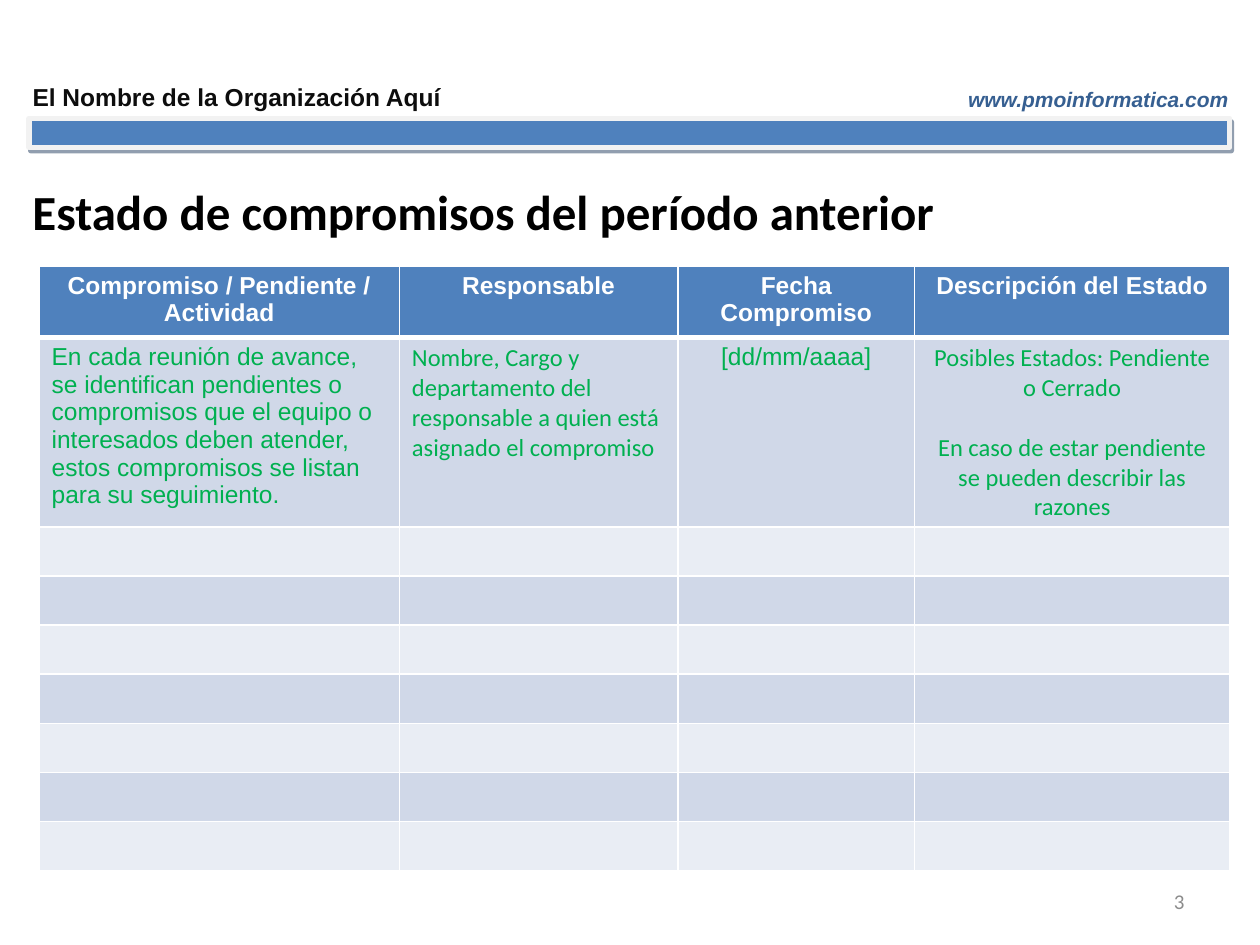
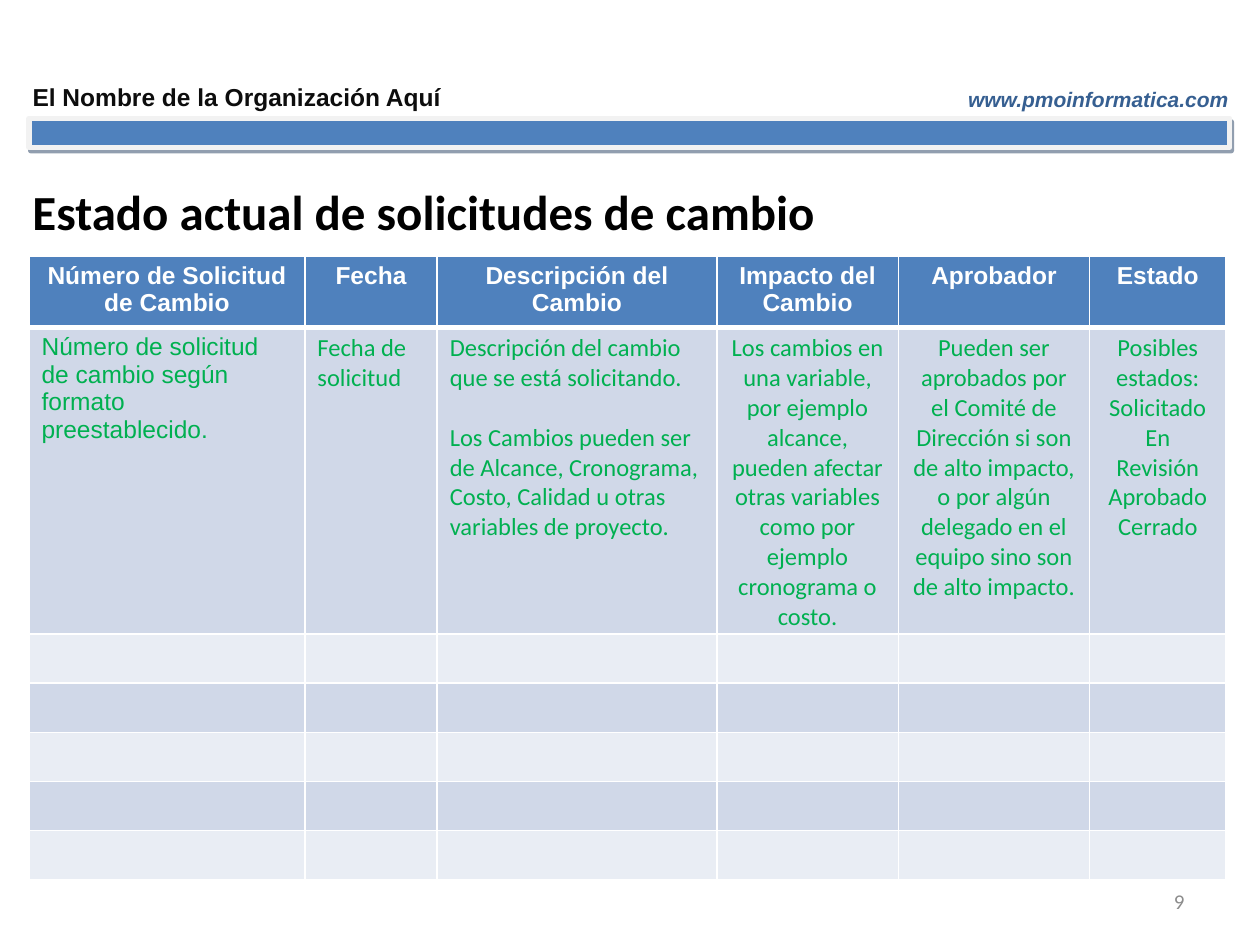
from dataclasses import dataclass
from lxml.etree import SubElement
from pptx import Presentation
from pptx.dml.color import RGBColor
from pptx.enum.shapes import MSO_SHAPE
from pptx.enum.text import MSO_ANCHOR, PP_ALIGN
from pptx.oxml.ns import qn
from pptx.util import Inches, Pt

BLUE = RGBColor(0x4F, 0x81, 0xBD)
BAND_EDGE = RGBColor(0xF2, 0xF2, 0xF2)
BAND_SHADOW = RGBColor(0x24, 0x3F, 0x60)
NEAR_BLACK = RGBColor(0x0D, 0x0D, 0x0D)
BLACK = RGBColor(0, 0, 0)
LINK_BLUE = RGBColor(0x36, 0x5F, 0x91)
GREY = RGBColor(0x8C, 0x8C, 0x8C)
WHITE = RGBColor(0xFF, 0xFF, 0xFF)
GREEN = RGBColor(0, 0xB0, 0x50)
ROW_FILLS = (RGBColor(0xD0, 0xD8, 0xE8), RGBColor(0xE9, 0xED, 0xF4))

LEFT, CENTER, RIGHT = PP_ALIGN.LEFT, PP_ALIGN.CENTER, PP_ALIGN.RIGHT
HEADING_HEIGHT = 0.56
BLANK_HEIGHT = 0.39
CELL_SIZE = Pt(14)
PARAGRAPH_GAP = Pt(17)

HEADING = {"name": "Arial", "size": CELL_SIZE, "bold": True}
GUIDE = {"size": CELL_SIZE, "bold": False}


@dataclass
class Label:
    text: str
    box: tuple[float, float, float, float]
    font: dict
    color: RGBColor
    align: PP_ALIGN = LEFT


@dataclass
class Column:
    heading: str
    width: float
    guide: list[str]
    align: PP_ALIGN = LEFT
    font: str = "Calibri"
    gap: Pt = Pt(0)


@dataclass
class StatusPage:
    title: str
    number: int
    left: float
    top: float
    guide_height: float
    blank_rows: int
    columns: list[Column]


HEADER_LABELS = [
    Label("El Nombre de la Organización Aquí", (0.16, 0.6, 3.91, 0.34),
          {"name": "Arial", "size": Pt(14), "bold": True}, NEAR_BLACK),
    Label("www.pmoinformatica.com", (7.19, 0.64, 2.66, 0.3),
          {"name": "Arial", "size": Pt(12), "bold": True, "italic": True}, LINK_BLUE, RIGHT),
]

PAGES = [
    StatusPage("Estado de compromisos del período anterior", 3, 0.31, 2.11, 1.5, 7, [
        Column("Compromiso / Pendiente / Actividad", 2.86,
               ["En cada reunión de avance, se identifican pendientes o compromisos que el equipo "
                "o interesados deben atender, estos compromisos se listan para su seguimiento."],
               font="Arial"),
        Column("Responsable", 2.21,
               ["Nombre, Cargo y departamento del responsable a quien está asignado el compromiso"]),
        Column("Fecha Compromiso", 1.88, ["[dd/mm/aaaa]"], CENTER, "Arial"),
        Column("Descripción del Estado", 2.5,
               ["Posibles Estados: Pendiente o Cerrado",
                "En caso de estar pendiente se pueden describir las razones"],
               CENTER, gap=PARAGRAPH_GAP),
    ]),
    StatusPage("Estado actual de solicitudes de cambio", 9, 0.23, 2.03, 2.43, 5, [
        Column("Número de Solicitud de Cambio", 2.19,
               ["Número de solicitud de cambio según formato preestablecido."], font="Arial"),
        Column("Fecha", 1.05, ["Fecha de solicitud"]),
        Column("Descripción del Cambio", 2.22,
               ["Descripción del cambio que se está solicitando.",
                "Los Cambios pueden ser de Alcance, Cronograma, Costo, Calidad u otras variables "
                "de proyecto."], gap=PARAGRAPH_GAP),
        Column("Impacto del Cambio", 1.44,
               ["Los cambios en una variable, por ejemplo alcance, pueden afectar otras variables "
                "como por ejemplo cronograma o costo."], CENTER),
        Column("Aprobador", 1.52,
               ["Pueden ser aprobados por el Comité de Dirección si son de alto impacto, o por "
                "algún delegado en el equipo sino son de alto impacto."], CENTER),
        Column("Estado", 1.08,
               ["Posibles estados:", "Solicitado", "En Revisión", "Aprobado", "Cerrado"], CENTER),
    ]),
]


def write(paragraph, text: str, font: dict, color: RGBColor, align: PP_ALIGN) -> None:
    paragraph.alignment = align
    run = paragraph.add_run()
    run.text = text
    for attribute, value in font.items():
        setattr(run.font, attribute, value)
    run.font.color.rgb = color


def add_label(slide, label: Label) -> None:
    frame = slide.shapes.add_textbox(*map(Inches, label.box)).text_frame
    frame.word_wrap = True
    frame.vertical_anchor = MSO_ANCHOR.MIDDLE
    write(frame.paragraphs[0], label.text, label.font, label.color, label.align)


def add_band(slide) -> None:
    band = slide.shapes.add_shape(
        MSO_SHAPE.RECTANGLE, Inches(0.23), Inches(0.94), Inches(9.53), Inches(0.23))
    band.fill.solid()
    band.fill.fore_color.rgb = BLUE
    band.line.color.rgb = BAND_EDGE
    band.line.width = Pt(3)
    # Hard offset shadow
    band.shadow.inherit = False
    effects = band._element.spPr.find(qn("a:effectLst"))
    shadow = SubElement(effects, qn("a:outerShdw"), blurRad="0", dist=str(Pt(2.2)),
                        dir=str(63 * 60000), algn="ctr", rotWithShape="0")
    tint = SubElement(shadow, qn("a:srgbClr"), val=str(BAND_SHADOW))
    SubElement(tint, qn("a:alpha"), val="50000")


def style_cell(cell, fill: RGBColor, top: float = 1, bottom: float = 1) -> None:
    properties = cell._tc.get_or_add_tcPr()
    for side, width in {"L": 1, "R": 1, "T": top, "B": bottom}.items():
        border = SubElement(properties, qn(f"a:ln{side}"), w=str(Pt(width)))
        SubElement(SubElement(border, qn("a:solidFill")), qn("a:srgbClr"), val=str(WHITE))
    cell.fill.solid()
    cell.fill.fore_color.rgb = fill


def add_status_table(slide, page: StatusPage) -> None:
    heights = [HEADING_HEIGHT, page.guide_height] + [BLANK_HEIGHT] * page.blank_rows
    width = sum(column.width for column in page.columns)
    table = slide.shapes.add_table(
        len(heights), len(page.columns), Inches(page.left), Inches(page.top),
        Inches(width), Inches(sum(heights))).table
    for row, height in zip(table.rows, heights):
        row.height = Inches(height)

    for index, column in enumerate(page.columns):
        table.columns[index].width = Inches(column.width)
        # Heading
        heading = table.cell(0, index)
        style_cell(heading, BLUE, bottom=3)
        write(heading.text_frame.paragraphs[0], column.heading, HEADING, WHITE, CENTER)
        # Guide text
        frame = table.cell(1, index).text_frame
        for position, text in enumerate(column.guide):
            paragraph = frame.add_paragraph() if position else frame.paragraphs[0]
            if position:
                paragraph.space_before = column.gap
            write(paragraph, text, GUIDE | {"name": column.font}, GREEN, column.align)
        # Alternating body rows
        for row in range(1, len(heights)):
            cell = table.cell(row, index)
            style_cell(cell, ROW_FILLS[(row - 1) % 2], top=3 if row == 1 else 1)
            if row > 1:
                ending = cell.text_frame.paragraphs[0]._p.get_or_add_endParaRPr()
                ending.set("sz", str(int(CELL_SIZE.pt * 100)))


def add_page(deck, page: StatusPage) -> None:
    slide = deck.slides.add_slide(deck.slide_layouts[6])
    add_band(slide)
    title = Label(page.title, (0.16, 1.48, 8.5, 0.39),
                  {"name": "Calibri", "size": Pt(28), "bold": True}, BLACK)
    number = Label(str(page.number), (7.17, 6.95, 2.33, 0.4),
                   {"name": "Calibri", "size": Pt(12)}, GREY, RIGHT)
    for label in [*HEADER_LABELS, title, number]:
        add_label(slide, label)
    add_status_table(slide, page)


def main() -> None:
    deck = Presentation()
    deck.slide_width, deck.slide_height = Inches(10), Inches(7.5)
    for page in PAGES:
        add_page(deck, page)
    deck.save("out.pptx")


if __name__ == "__main__":
    main()
